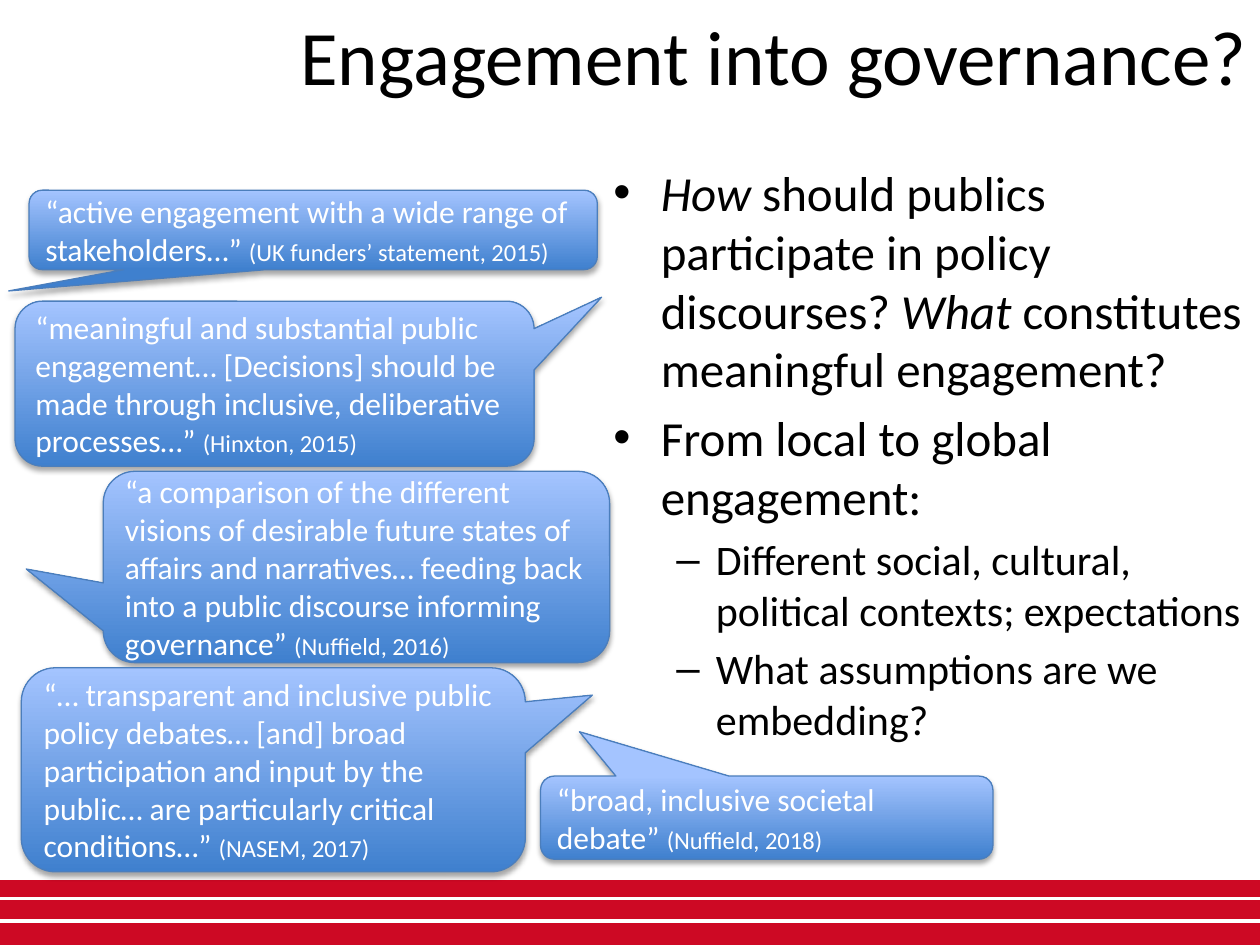
from lxml.etree import SubElement
from pptx import Presentation
from pptx.dml.color import RGBColor
from pptx.enum.shapes import MSO_CONNECTOR, MSO_SHAPE
from pptx.enum.text import MSO_ANCHOR, PP_ALIGN
from pptx.oxml.ns import qn
from pptx.util import Pt

BLACK = RGBColor(0x00, 0x00, 0x00)
WHITE = RGBColor(0xFF, 0xFF, 0xFF)
RED = RGBColor(0xCD, 0x09, 0x24)
DEEP = RGBColor(0x3F, 0x80, 0xCE)
PALE = RGBColor(0xA4, 0xC4, 0xFF)
EDGE = RGBColor(0x4B, 0x7E, 0xBC)

WIDE, HIGH = 720, 540

# box (left, top, width, height), tail tip, quote, source
QUOTES = [
    ((16.6, 108.7, 324.7, 45.4), (-0.536, 0.768),
     "“active engagement with a wide range of stakeholders…” ",
     "(UK funders’ statement, 2015)"),
    ((8.6, 172.1, 296.6, 94.3), (0.63, -0.524),
     "“meaningful and substantial public engagement… [Decisions] should be "
     "made through inclusive, deliberative processes…” ",
     "(Hinxton, 2015)"),
    ((59, 269.3, 289.4, 109.4), (-0.652, 0.011),
     "“a comparison of the different visions of desirable future states of "
     "affairs and narratives… feeding back into a public discourse informing "
     "governance” ",
     "(Nuffield, 2016)"),
    ((12.2, 381.6, 288, 116.6), (0.633, -0.366),
     "“… transparent and inclusive public policy debates… [and] broad "
     "participation and input by the public… are particularly critical "
     "conditions…” ",
     "(NASEM, 2017)"),
    ((308.9, 443.5, 258.5, 47.5), (-0.414, -1.034),
     "“broad, inclusive societal debate” ",
     "(Nuffield, 2018)"),
]

# level, runs of (text, italic)
POINTS = [
    (0, [("How ", True),
         ("should publics participate in policy discourses? ", False),
         ("What ", True),
         ("constitutes meaningful engagement?", False)]),
    (0, [("From local to global engagement:", False)]),
    (1, [("Different social, cultural, political contexts; expectations", False)]),
    (1, [("What assumptions are we embedding?", False)]),
]

# per level: mark, size, left margin, hanging indent
LEVELS = [("•", 28, 27, 27), ("–", 24, 58.5, 22.5)]


def write(para, text, size=18, color=BLACK, italic=False, font="Calibri"):
    run = para.add_run()
    run.text = text
    run.font.name = font
    run.font.size = Pt(size)
    run.font.color.rgb = color
    run.font.italic = italic


class Deck:
    def __init__(self):
        self.show = Presentation()
        self.show.slide_width, self.show.slide_height = Pt(WIDE), Pt(HIGH)
        self.slide = self.show.slides.add_slide(self.show.slide_layouts[6])

    def shape(self, kind, box, edge):
        item = self.slide.shapes.add_shape(kind, *map(Pt, box))
        item.shadow.inherit = False
        item.line.color.rgb = edge
        item.line.width = Pt(0.75)
        return item

    def band(self, box):
        item = self.shape(MSO_SHAPE.RECTANGLE, box, RED)
        item.fill.solid()
        item.fill.fore_color.rgb = RED

    def rule(self, y):
        line = self.slide.shapes.add_connector(
            MSO_CONNECTOR.STRAIGHT, 0, Pt(y), Pt(WIDE), Pt(y))
        line.line.color.rgb = WHITE
        line.line.width = Pt(2)
        SubElement(line._element.spPr, qn("a:effectLst"))

    def frame(self, box):
        frame = self.slide.shapes.add_textbox(*map(Pt, box)).text_frame
        frame.word_wrap = True
        return frame

    def title(self, box, text):
        para = self.frame(box).paragraphs[0]
        para.alignment = PP_ALIGN.RIGHT
        write(para, text, size=44)

    def points(self, box, items):
        frame = self.frame(box)
        for n, (level, runs) in enumerate(items):
            para = frame.add_paragraph() if n else frame.paragraphs[0]
            mark, size, left, hang = LEVELS[level]
            para.level = level
            para.space_before = Pt(size * 0.2)
            props = para._p.get_or_add_pPr()
            props.set("marL", str(Pt(left)))
            props.set("indent", str(-Pt(hang)))
            SubElement(props, qn("a:buFont"), typeface="Arial")
            SubElement(props, qn("a:buChar"), char=mark)
            for text, italic in runs:
                write(para, text, size=size, italic=italic)

    def quote(self, box, tip, text, source):
        item = self.shape(MSO_SHAPE.ROUNDED_RECTANGULAR_CALLOUT, box, EDGE)
        for n, value in enumerate((*tip, 0.167)):
            item.adjustments[n] = value
        item.fill.gradient()
        item.fill.gradient_angle = 90
        for stop, color, place in zip(item.fill.gradient_stops, (DEEP, PALE), (0, 1)):
            stop.color.rgb = color
            stop.position = place
        self.shade(item)
        frame = item.text_frame
        frame.word_wrap = True
        frame.vertical_anchor = MSO_ANCHOR.MIDDLE
        para = frame.paragraphs[0]
        para.alignment = PP_ALIGN.LEFT
        write(para, text, color=WHITE)
        write(para, source, size=14, color=WHITE)

    def shade(self, item):
        """Add a soft shadow that falls straight down."""
        effect = item._element.spPr.find(qn("a:effectLst"))
        outer = SubElement(effect, qn("a:outerShdw"), blurRad=str(Pt(3.1)),
                           dist=str(Pt(1.8)), dir="5400000", rotWithShape="0")
        color = SubElement(outer, qn("a:srgbClr"), val=str(BLACK))
        SubElement(color, qn("a:alpha"), val="35000")


def main():
    deck = Deck()
    deck.band((0, 503.5, WIDE, 36.5))
    for y in (526.3, 513.4):
        deck.rule(y)
    deck.title((72, 1.5, 648, 90), "Engagement into governance?")
    deck.points((343.5, 89.3, 376.5, 356.4), POINTS)
    for quote in QUOTES:
        deck.quote(*quote)
    deck.show.save("out.pptx")


if __name__ == "__main__":
    main()
